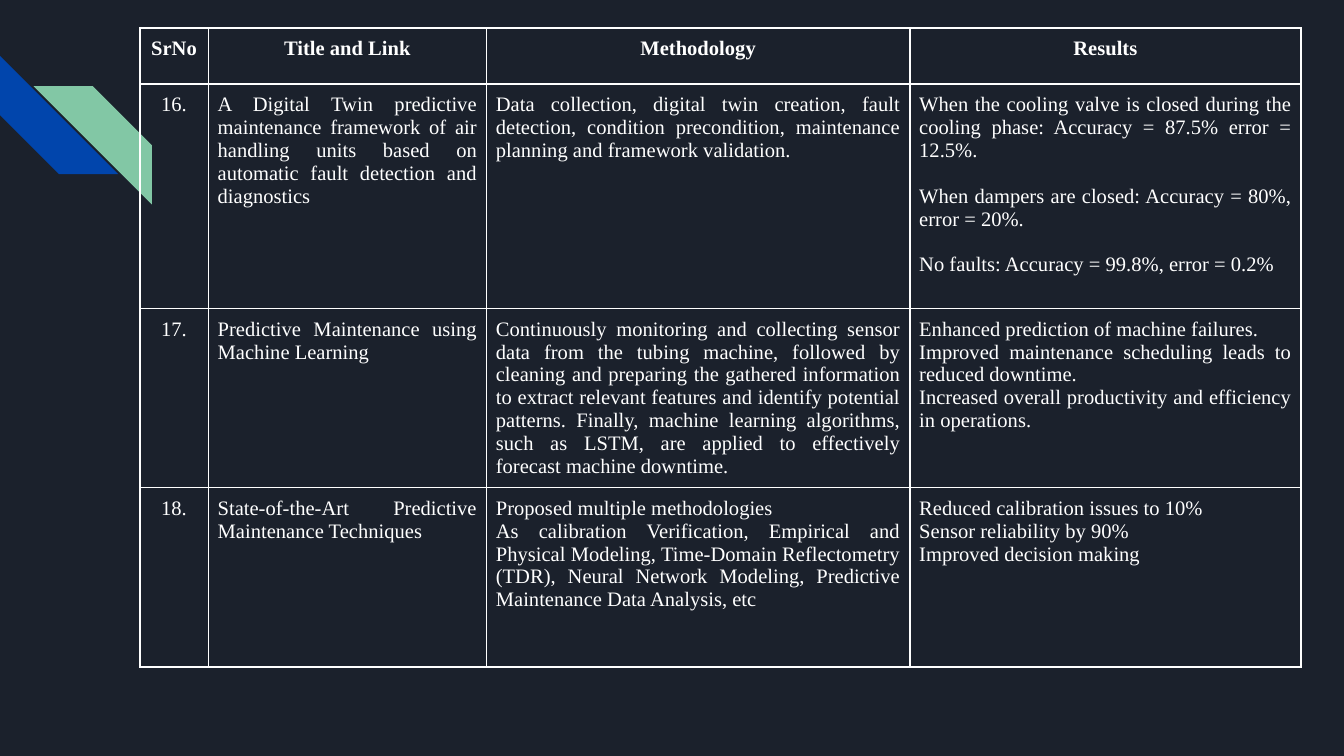
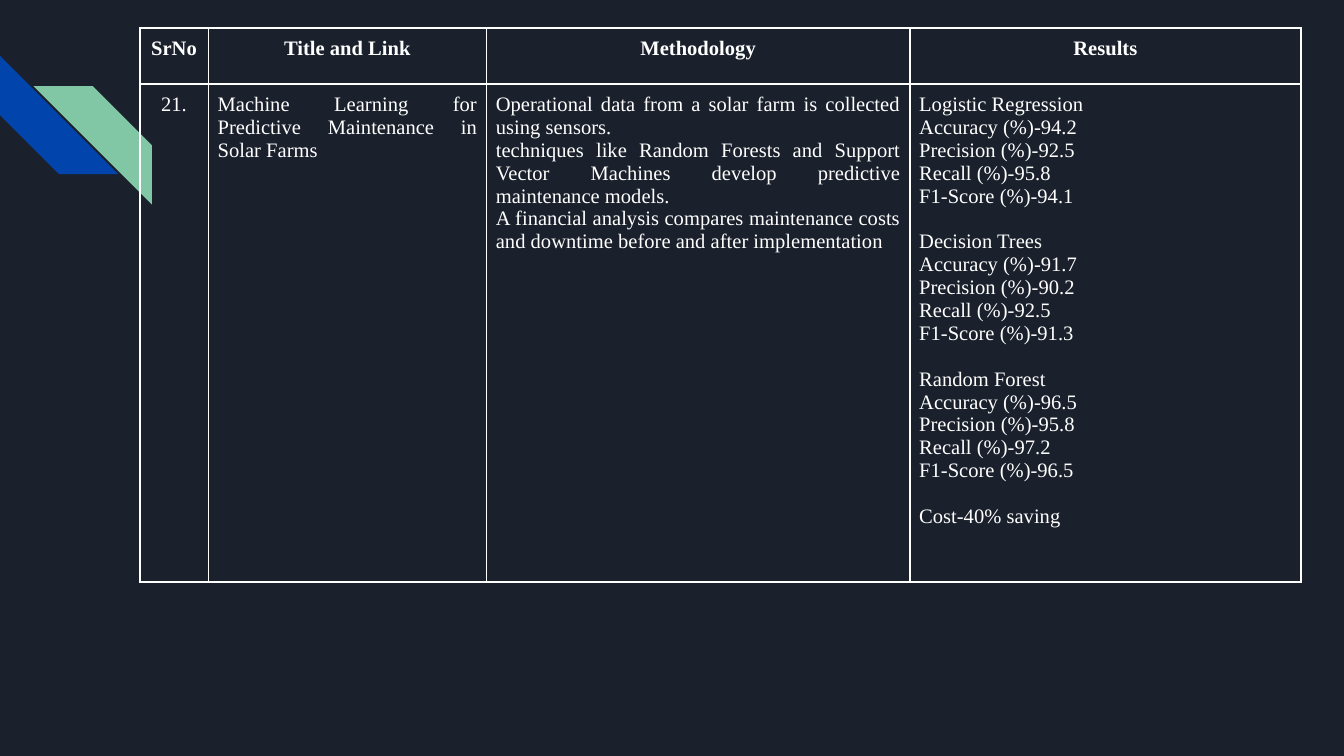
from dataclasses import dataclass

import lxml.etree
import pptx
import pptx.dml.color
import pptx.enum.shapes
import pptx.enum.text
import pptx.oxml.ns
import pptx.presentation
import pptx.shapes.autoshape
import pptx.slide
import pptx.table
import pptx.util

SLIDE_WIDTH = pptx.util.Inches(10)
SLIDE_HEIGHT = pptx.util.Inches(5.625)
COLUMN = SLIDE_WIDTH / 100
ROW = SLIDE_HEIGHT / 100

NIGHT = "1B212C"
BLUE = "0145AC"
GREEN = "82C7A5"
WHITE = "FFFFFF"
FONT = "Times New Roman"
TEXT_SIZE = pptx.util.Pt(11)
BLOCK_GAP = pptx.util.Pt(12.3)
CELL_INSET = pptx.util.Inches(0.07)
BORDER_WIDTH = pptx.util.Pt(1)

TABLE_LEFT = 10.4
TABLE_TOP = 3.7
COLUMN_WIDTHS = (5.1, 20.7, 31.5, 29.1)
HEADER_HEIGHT = 7.4
HEADINGS = ("SrNo", "Title and Link", "Methodology", "Results")

Blocks = tuple[tuple[str, ...], ...]


@dataclass(frozen=True)
class Stripe:
    left: float
    top: float
    color: str
    rotation: int = 0
    mirrored: bool = False
    side: float = 8.8


@dataclass(frozen=True)
class Paper:
    number: str
    title: str
    methodology: Blocks
    results: Blocks
    height: float

    def cells(self) -> tuple[Blocks, ...]:
        return ((self.number,),), ((self.title,),), self.methodology, self.results


def scores(model: str, accuracy: float, precision: float, recall: float, f1: float) -> tuple[str, ...]:
    return (
        model,
        f"Accuracy (%)-{accuracy}",
        f"Precision (%)-{precision}",
        f"Recall (%)-{recall}",
        f"F1-Score (%)-{f1}",
    )


STRIPES = (
    Stripe(0, 7.4, BLUE, rotation=270),
    Stripe(2.5, 11.4, GREEN, mirrored=True),
)

SURVEY_PAGES = (
    (
        Paper(
            "16.",
            "A Digital Twin predictive maintenance framework of air handling units "
            "based on automatic fault detection and diagnostics",
            ((
                "Data collection, digital twin creation, fault detection, condition "
                "precondition, maintenance planning and framework validation.",
            ),),
            (
                ("When the cooling valve is closed during the cooling phase: "
                 "Accuracy = 87.5% error = 12.5%.",),
                ("When dampers are closed: Accuracy = 80%, error = 20%.",),
                ("No faults: Accuracy = 99.8%, error = 0.2%",),
            ),
            29.7,
        ),
        Paper(
            "17.",
            "Predictive Maintenance using Machine Learning",
            ((
                "Continuously monitoring and collecting sensor data from the tubing "
                "machine, followed by cleaning and preparing the gathered information "
                "to extract relevant features and identify potential patterns. Finally, "
                "machine learning algorithms, such as LSTM, are applied to effectively "
                "forecast machine downtime.",
            ),),
            ((
                "Enhanced prediction of machine failures.",
                "Improved maintenance scheduling leads to reduced downtime.",
                "Increased overall productivity and efficiency in operations.",
            ),),
            23.7,
        ),
        Paper(
            "18.",
            "State-of-the-Art Predictive Maintenance Techniques",
            ((
                "Proposed multiple methodologies",
                "As calibration Verification, Empirical and Physical Modeling, "
                "Time-Domain Reflectometry (TDR), Neural Network Modeling, Predictive "
                "Maintenance Data Analysis, etc",
            ),),
            ((
                "Reduced calibration issues to 10%",
                "Sensor reliability by 90%",
                "Improved decision making",
            ),),
            23.7,
        ),
    ),
    (
        Paper(
            "21.",
            "Machine Learning for Predictive Maintenance in Solar Farms",
            ((
                "Operational data from a solar farm is collected using sensors.",
                "techniques like Random Forests and Support Vector Machines develop "
                "predictive maintenance models.",
                "A financial analysis compares maintenance costs and downtime before "
                "and after implementation",
            ),),
            (
                scores("Logistic Regression", 94.2, 92.5, 95.8, 94.1),
                scores("Decision Trees", 91.7, 90.2, 92.5, 91.3),
                scores("Random Forest", 96.5, 95.8, 97.2, 96.5),
                ("Cost-40% saving",),
            ),
            65.9,
        ),
    ),
)


def rgb(color: str) -> pptx.dml.color.RGBColor:
    return pptx.dml.color.RGBColor.from_string(color)


def across(columns: float) -> pptx.util.Emu:
    return pptx.util.Emu(round(columns * COLUMN))


def down(rows: float) -> pptx.util.Emu:
    return pptx.util.Emu(round(rows * ROW))


def draw_stripe(slide: pptx.slide.Slide, stripe: Stripe) -> pptx.shapes.autoshape.Shape:
    band = slide.shapes.add_shape(
        pptx.enum.shapes.MSO_SHAPE.DIAGONAL_STRIPE,
        across(stripe.left), down(stripe.top), across(stripe.side), across(stripe.side),
    )
    band.adjustments[0] = 0.5
    band.rotation = stripe.rotation
    band.shadow.inherit = False
    band.fill.solid()
    band.fill.fore_color.rgb = rgb(stripe.color)
    band.line.fill.background()
    if stripe.mirrored:
        band._element.spPr.find(pptx.oxml.ns.qn("a:xfrm")).set("flipH", "1")
    return band


def share_background(deck: pptx.presentation.Presentation, layout: pptx.slide.SlideLayout,
                     slide: pptx.slide.Slide) -> None:
    backdrop = deck.slide_master.background.fill
    backdrop.solid()
    backdrop.fore_color.rgb = rgb(NIGHT)
    for placeholder in list(layout.placeholders):
        placeholder._element.getparent().remove(placeholder._element)
    for stripe in STRIPES:
        layout.shapes._spTree.append(draw_stripe(slide, stripe)._element)


def outline_cell(cell: pptx.table._Cell) -> None:
    qn = pptx.oxml.ns.qn
    properties = cell._tc.get_or_add_tcPr()
    for position, side in enumerate(("lnL", "lnR", "lnT", "lnB")):
        border = lxml.etree.Element(qn(f"a:{side}"), w=str(BORDER_WIDTH))
        paint = lxml.etree.SubElement(border, qn("a:solidFill"))
        lxml.etree.SubElement(paint, qn("a:srgbClr"), val=WHITE)
        properties.insert(position, border)


def write_cell(cell: pptx.table._Cell, blocks: Blocks, centred: bool, bold: bool) -> None:
    cell.fill.background()
    outline_cell(cell)
    cell.margin_left = cell.margin_right = CELL_INSET
    cell.margin_top = cell.margin_bottom = CELL_INSET
    alignment = pptx.enum.text.PP_ALIGN
    cell.text_frame.text = "\n".join(line for block in blocks for line in block)
    starts_block = [index == 0 for block in blocks for index in range(len(block))]
    for index, paragraph in enumerate(cell.text_frame.paragraphs):
        paragraph.alignment = alignment.CENTER if centred else alignment.JUSTIFY
        if index and starts_block[index]:
            paragraph.space_before = BLOCK_GAP
        paragraph.font.name = FONT
        paragraph.font.size = TEXT_SIZE
        paragraph.font.bold = bold
        paragraph.font.color.rgb = rgb(WHITE)


def draw_survey(slide: pptx.slide.Slide, papers: tuple[Paper, ...]) -> None:
    heights = [HEADER_HEIGHT, *(paper.height for paper in papers)]
    survey = slide.shapes.add_table(
        len(heights), len(COLUMN_WIDTHS),
        across(TABLE_LEFT), down(TABLE_TOP), across(sum(COLUMN_WIDTHS)), down(sum(heights)),
    ).table
    survey.first_row = False
    survey.horz_banding = False
    for column, width in zip(survey.columns, COLUMN_WIDTHS):
        column.width = across(width)
    headings = tuple(((heading,),) for heading in HEADINGS)
    contents = [headings, *(paper.cells() for paper in papers)]
    for row_index, (row, height, entries) in enumerate(zip(survey.rows, heights, contents)):
        row.height = down(height)
        is_header = row_index == 0
        for column_index, (cell, blocks) in enumerate(zip(row.cells, entries)):
            write_cell(cell, blocks, centred=is_header or column_index == 0, bold=is_header)


def main() -> None:
    deck = pptx.Presentation()
    deck.slide_width = SLIDE_WIDTH
    deck.slide_height = SLIDE_HEIGHT
    blank = deck.slide_layouts[6]
    pages = [deck.slides.add_slide(blank) for _ in SURVEY_PAGES]
    share_background(deck, blank, pages[0])
    for page, papers in zip(pages, SURVEY_PAGES):
        draw_survey(page, papers)
    deck.save("out.pptx")


if __name__ == "__main__":
    main()
